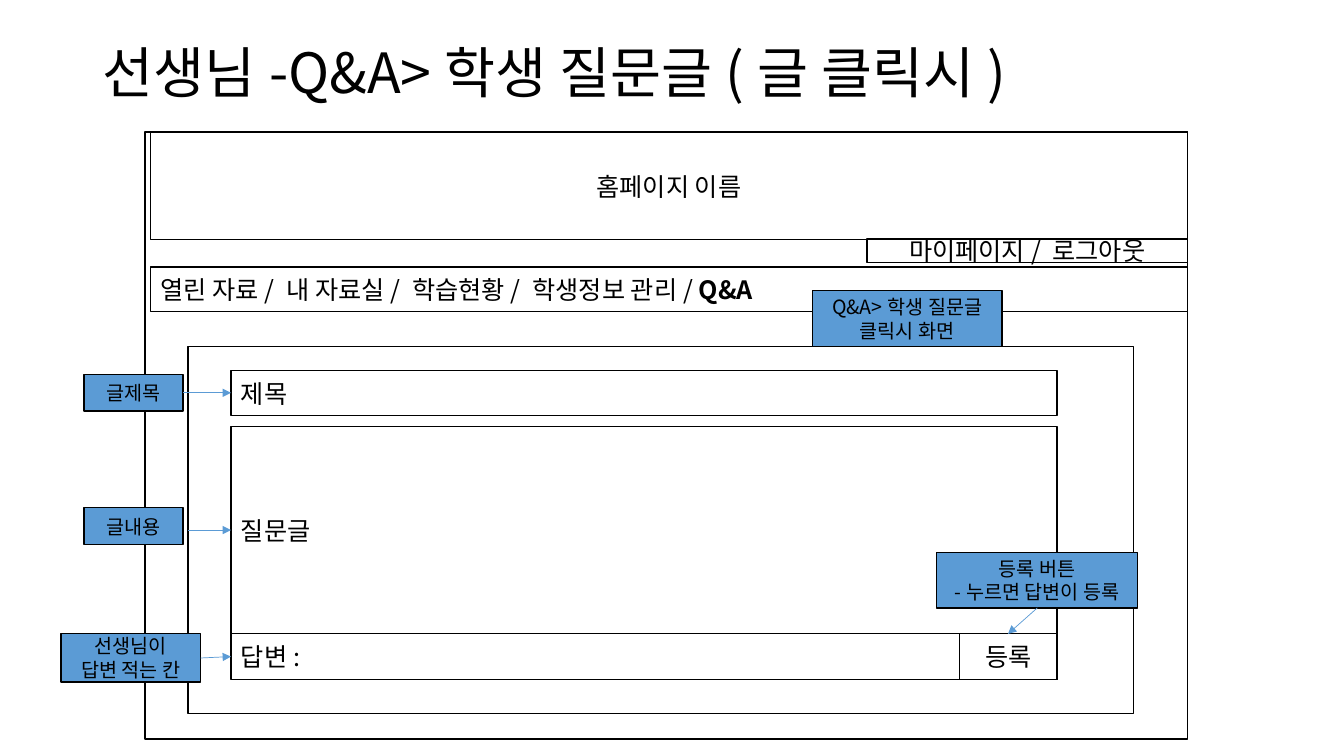
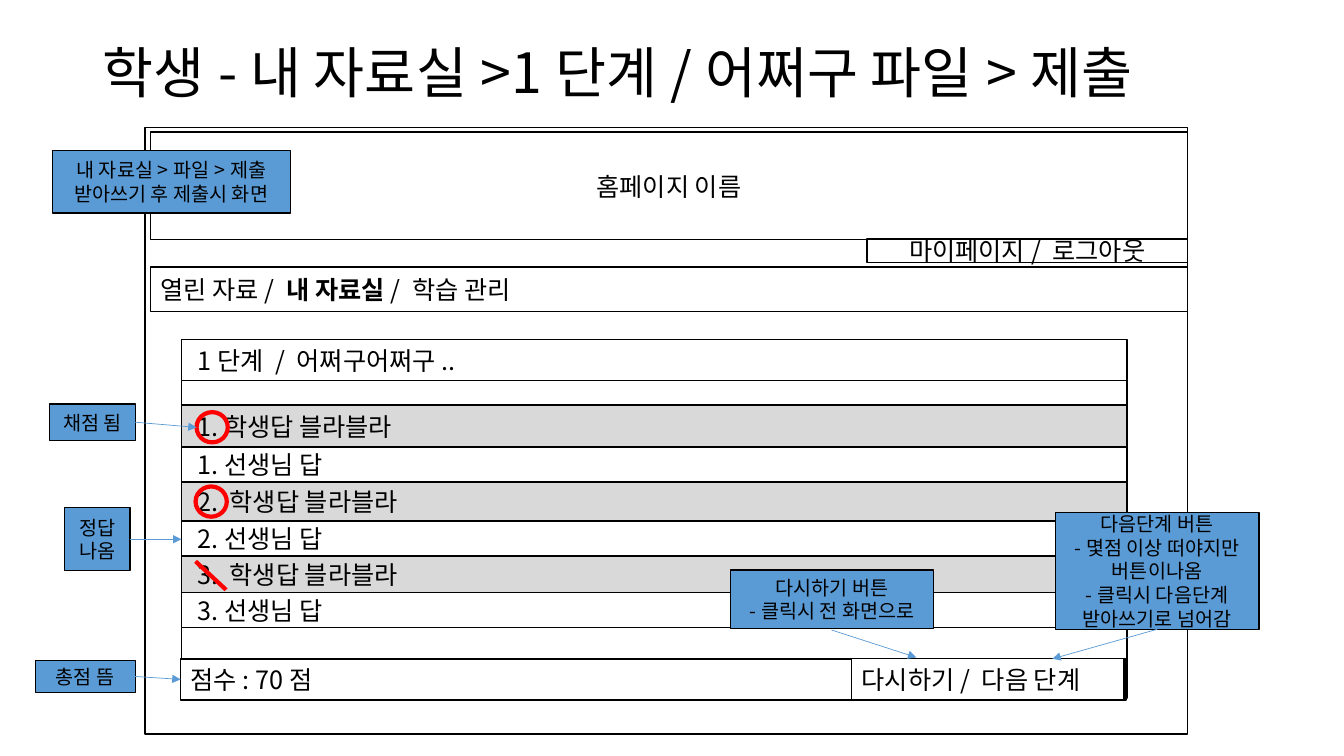
from lxml.etree import SubElement
from pptx import Presentation
from pptx.dml.color import RGBColor
from pptx.enum.shapes import MSO_CONNECTOR, MSO_SHAPE
from pptx.enum.text import MSO_ANCHOR, PP_ALIGN
from pptx.oxml.ns import qn
from pptx.util import Pt

FONT = "Noto Sans CJK KR"
BLACK = RGBColor(0x00, 0x00, 0x00)
WHITE = RGBColor(0xFF, 0xFF, 0xFF)
GREY = RGBColor(0xD9, 0xD9, 0xD9)
BLUE = RGBColor(0x5B, 0x9B, 0xD5)
RED = RGBColor(0xFF, 0x00, 0x00)
LEFT, CENTER = PP_ALIGN.LEFT, PP_ALIGN.CENTER
INSET, LIST_INSET = 7.2, 11.2

# Page content: positions are (left, top, width, height) in points
QUESTION_PAGE = {
    "title": "선생님-Q&A>학생 질문글(글 클릭시)",
    "frame_top": 94.4,
    "menu": ["열린 자료", "내 자료실", "학습현황", "학생정보 관리", "Q&A"],
    "current": "Q&A",
}
QUESTION_PANEL = (134.2, 247.7, 675.4, 262)
FIELD_LEFT, FIELD_WIDTH = 165, 590
FIELDS = [("제목", 264.5, 32.4), ("질문글", 304.6, 148), ("답변:", 452.6, 32.6)]
REGISTER_WIDTH = 69.6
QUESTION_CALLOUTS = [
    (["Q&A>학생 질문글", "클릭시 화면"], (580.3, 207.4, 135.4, 40.3)),
    (["글제목"], (60, 267.3, 70.6, 26.4)),
    (["글내용"], (60, 362.7, 70.6, 26.4)),
    (["등록 버튼", "-누르면 답변이 등록"], (668.9, 394.6, 143.8, 39.6)),
    (["선생님이", "답변 적는 칸"], (43.7, 452.5, 99.4, 34.8)),
]
QUESTION_ARROWS = [
    ((130.8, 280.6), (165, 280.6)),
    ((134.2, 378.6), (165, 378.6)),
    ((143.4, 470), (165, 469)),
    ((741, 434.2), (720, 452.8)),
]

RESULT_PAGE = {
    "title": "학생-내 자료실>1단계/어쩌구 파일>제출",
    "frame_top": 91,
    "menu": ["열린 자료", "내 자료실", "학습 관리"],
    "current": "내 자료실",
}
RESULT_LEFT, RESULT_WIDTH = 129.6, 675.4
RESULT_PANEL_TOP, RESULT_PANEL_HEIGHT = 270.7, 228
STAGE = ("1단계 / 어쩌구어쩌구..", 242.5, 29.5)
ANSWERS_TOP, TEACHER_HEIGHT = 289.3, 25
ANSWERS = [  # student answer, teacher answer, height of the student row
    ("1.학생답 블라블라", "1.선생님 답", 30),
    ("2. 학생답 블라블라", "2.선생님 답", 28),
    ("3. 학생답 블라블라", "3.선생님 답", 26),
]
RIGHT_MARKS = [(140.4, 294.4), (139.7, 347.5)]
RIGHT_MARK_SIZE = (22.3, 21.6)
WRONG_MARK = ((139.7, 401), (161.5, 421.3))
SCORE = ("점수: 70점", (129, 470.6, 675.4, 29.5))
NEXT_BUTTONS = ("다시하기/ 다음 단계", (608.4, 470.2, 194.4, 29.5))
RESULT_CALLOUTS = [
    (["내 자료실>파일>제출", "받아쓰기 후 제출시 화면"], (37.4, 107.5, 170, 44.8)),
    (["정답 나옴"], (46.2, 362.7, 46.8, 45)),
    (["채점 됨"], (35.3, 288.6, 61.4, 26)),
    (["총점 뜸"], (25.2, 471.6, 71.4, 23)),
    (["다시하기 버튼", "-클릭시 전 화면으로"], (522, 407.2, 144.8, 41.8)),
    (["다음단계 버튼", "-몇점 이상 떠야지만", "버튼이나옴", "-클릭시 다음단계",
      "받아쓰기로 넘어감"], (753.8, 366.2, 145.5, 83.5)),
]
RESULT_ARROWS = [
    ((93, 385.2), (129.6, 385.2)),
    ((96.6, 301.6), (140.4, 305.3)),
    ((96.6, 483.2), (129, 485.3)),
    ((594, 450), (654.5, 469.6)),
    ((826.6, 449.5), (751.7, 470.6)),
]


def format_paragraph(paragraph, size, align):
    paragraph.alignment = align
    font = paragraph.font
    font.size = Pt(size)
    font.color.rgb = BLACK
    font.name = FONT
    defaults = paragraph._p.pPr.find(qn("a:defRPr"))
    SubElement(defaults, qn("a:ea")).set("typeface", FONT)


def add_box(slide, place, lines=(), fill=WHITE, size=18, align=LEFT, inset=INSET):
    """Add a bordered box; each line is a list of (text, bold) parts or a string."""
    box = slide.shapes.add_shape(MSO_SHAPE.RECTANGLE, *map(Pt, place))
    box.shadow.inherit = False
    box.fill.solid()
    box.fill.fore_color.rgb = fill
    box.line.color.rgb = BLACK
    box.line.width = Pt(1)
    frame = box.text_frame
    frame.word_wrap = True
    frame.vertical_anchor = MSO_ANCHOR.MIDDLE
    frame.margin_left = Pt(inset)
    for number, line in enumerate(lines):
        paragraph = frame.add_paragraph() if number else frame.paragraphs[0]
        format_paragraph(paragraph, size, align)
        for text, bold in [(line, False)] if isinstance(line, str) else line:
            run = paragraph.add_run()
            run.text = text
            if bold:
                run.font.bold = True


def add_line(slide, start, end, color, width, arrow=False):
    line = slide.shapes.add_connector(MSO_CONNECTOR.STRAIGHT, *map(Pt, start + end))
    line.line.color.rgb = color
    line.line.width = Pt(width)
    if arrow:
        SubElement(line.line._get_or_add_ln(), qn("a:tailEnd")).set("type", "triangle")
    SubElement(line._element.spPr, qn("a:effectLst"))


def add_annotations(slide, callouts, arrows):
    for lines, place in callouts:
        add_box(slide, place, lines, BLUE, 14, CENTER)
    for start, end in arrows:
        add_line(slide, start, end, BLUE, 0.5, arrow=True)


def add_page(prs, page):
    """Add a slide with the title and the site header shared by all pages."""
    slide = prs.slides.add_slide(prs.slide_layouts[5])
    title = slide.shapes.title
    title.left, title.top, title.width, title.height = map(Pt, (66.2, 28.8, 803, 50.4))
    title.text_frame.text = page["title"]
    title.text_frame.vertical_anchor = MSO_ANCHOR.MIDDLE
    heading = title.text_frame.paragraphs[0]
    heading.line_spacing = 0.9
    format_paragraph(heading, 39.6, LEFT)

    add_box(slide, (103.7, page["frame_top"], 744.5, 433.4))
    add_box(slide, (107.4, 94.4, 740.8, 76.8), ["홈페이지 이름"], align=CENTER)
    add_box(slide, (619.2, 170.8, 229, 16.8), ["마이페이지/ 로그아웃"], align=CENTER)
    menu = []
    for item in page["menu"]:
        if menu:
            menu.append(("/ ", False))
        menu.append((item, item == page["current"]))
    add_box(slide, (107.4, 190.8, 740.8, 31.6), [menu])
    return slide


def add_question_page(prs):
    slide = add_page(prs, QUESTION_PAGE)
    add_box(slide, QUESTION_PANEL)
    for label, top, height in FIELDS:
        add_box(slide, (FIELD_LEFT, top, FIELD_WIDTH, height), [label])
    # The register button closes the right end of the answer field
    register_left = FIELD_LEFT + FIELD_WIDTH - REGISTER_WIDTH
    add_box(slide, (register_left, top, REGISTER_WIDTH, height), ["등록"], align=CENTER)
    add_annotations(slide, QUESTION_CALLOUTS, QUESTION_ARROWS)


def add_result_page(prs):
    slide = add_page(prs, RESULT_PAGE)

    def add_row(text, top, height, fill=WHITE):
        add_box(slide, (RESULT_LEFT, top, RESULT_WIDTH, height), [text], fill,
                inset=LIST_INSET)

    add_box(slide, (RESULT_LEFT, RESULT_PANEL_TOP, RESULT_WIDTH, RESULT_PANEL_HEIGHT))
    add_row(*STAGE)
    top = ANSWERS_TOP
    for student, teacher, height in ANSWERS:
        add_row(student, top, height, GREY)
        add_row(teacher, top + height, TEACHER_HEIGHT)
        top += height + TEACHER_HEIGHT

    # Grading marks
    for place in RIGHT_MARKS:
        circle = slide.shapes.add_shape(MSO_SHAPE.OVAL, *map(Pt, place + RIGHT_MARK_SIZE))
        circle.shadow.inherit = False
        circle.fill.background()
        circle.line.color.rgb = RED
        circle.line.width = Pt(3)
    add_line(slide, *WRONG_MARK, RED, 3)

    # Score bar and its buttons
    for text, place in (SCORE, NEXT_BUTTONS):
        add_box(slide, place, [text])
    add_annotations(slide, RESULT_CALLOUTS, RESULT_ARROWS)


def main():
    prs = Presentation()
    prs.slide_width, prs.slide_height = Pt(960), Pt(540)
    add_question_page(prs)
    add_result_page(prs)
    prs.save("out.pptx")


if __name__ == "__main__":
    main()
